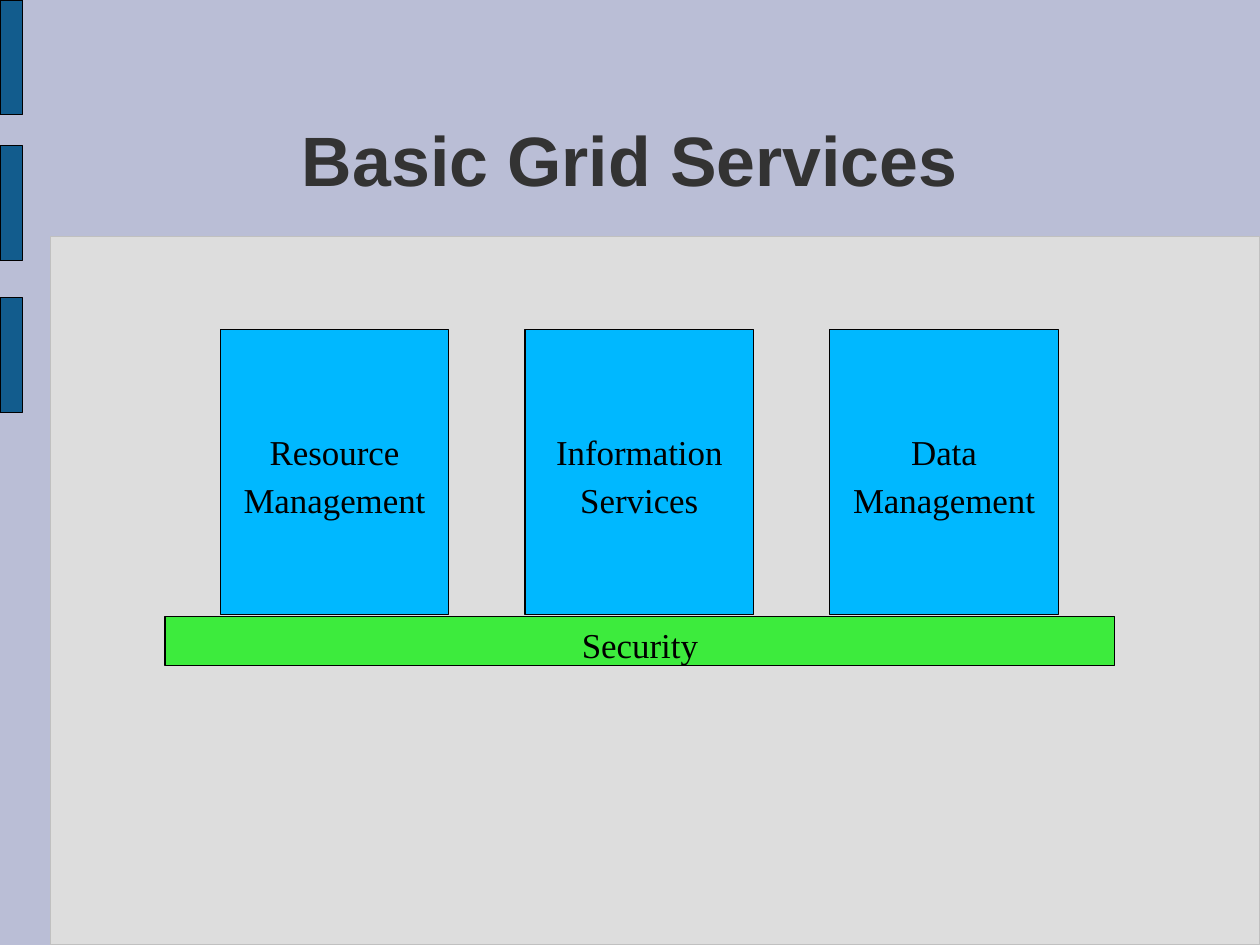
"""Build the Basic Grid Services slide: three service pillars on a security base."""
import pptx
import pptx.dml.color
import pptx.enum.shapes
import pptx.enum.text
import pptx.util
from dataclasses import dataclass

TITLE = "Basic Grid Services"
PILLARS = ["Resource\nManagement", "Information\nServices", "Data\nManagement"]
BASE = "Security"

SLIDE_SIZE = (793.75, 595.25)
PANEL_ORIGIN = (32, 149)
TITLE_BOX = (58.3, 44, 677.5, 99.4)
ACCENT_TOPS = [0, 91.9, 187.4]
ACCENT_SIZE = (14.2, 72.4)
PILLAR_ORIGIN = (138.8, 207.5)
PILLAR_SIZE = (143.9, 179.9)
PILLAR_PITCH = 192
BASE_BOX = (104, 388.3, 598.4, 30.8)


@dataclass(frozen=True)
class Theme:
    background: str = "BABED6"
    panel: str = "DDDDDD"
    panel_line: str = "C0C0C0"
    accent: str = "125C8D"
    pillar: str = "00B8FF"
    base: str = "3DEB3D"
    ink: str = "000000"
    title: str = "333333"
    title_font: str = "Arial"
    label_font: str = "Times New Roman"
    title_size: float = 44
    label_size: float = 22
    title_spacing: float = 1.24
    label_spacing: float = 1.16
    line_width: float = 0.75


THEME = Theme()


def rgb(color):
    return pptx.dml.color.RGBColor.from_string(color)


def points(box):
    return [pptx.util.Pt(length) for length in box]


def write(frame, text, font, size, color, spacing, bold=False):
    frame.word_wrap = True
    frame.vertical_anchor = pptx.enum.text.MSO_ANCHOR.MIDDLE
    frame.margin_left = frame.margin_right = 0
    frame.margin_top = frame.margin_bottom = 0
    frame.text = text
    for paragraph in frame.paragraphs:
        paragraph.alignment = pptx.enum.text.PP_ALIGN.CENTER
        paragraph.line_spacing = spacing
        for run in paragraph.runs:
            run.font.name = font
            run.font.size = pptx.util.Pt(size)
            run.font.bold = bold
            run.font.color.rgb = rgb(color)


def add_block(slide, box, fill, line=THEME.ink, label=None):
    block = slide.shapes.add_shape(
        pptx.enum.shapes.MSO_SHAPE.RECTANGLE, *points(box))
    block.shadow.inherit = False
    block.fill.solid()
    block.fill.fore_color.rgb = rgb(fill)
    block.line.color.rgb = rgb(line)
    block.line.width = pptx.util.Pt(THEME.line_width)
    if label:
        write(block.text_frame, label, THEME.label_font, THEME.label_size,
              THEME.ink, THEME.label_spacing)


def main():
    deck = pptx.Presentation()
    deck.slide_width, deck.slide_height = points(SLIDE_SIZE)
    slide = deck.slides.add_slide(deck.slide_layouts[6])
    slide.background.fill.solid()
    slide.background.fill.fore_color.rgb = rgb(THEME.background)

    panel_size = [full - start for full, start in zip(SLIDE_SIZE, PANEL_ORIGIN)]
    add_block(slide, (*PANEL_ORIGIN, *panel_size), THEME.panel, THEME.panel_line)
    for top in ACCENT_TOPS:
        add_block(slide, (0, top, *ACCENT_SIZE), THEME.accent)

    title = slide.shapes.add_textbox(*points(TITLE_BOX))
    write(title.text_frame, TITLE, THEME.title_font, THEME.title_size,
          THEME.title, THEME.title_spacing, bold=True)

    left, top = PILLAR_ORIGIN
    for index, service in enumerate(PILLARS):
        add_block(slide, (left + index * PILLAR_PITCH, top, *PILLAR_SIZE),
                  THEME.pillar, label=service)
    add_block(slide, BASE_BOX, THEME.base, label=BASE)
    deck.save("out.pptx")


if __name__ == "__main__":
    main()
